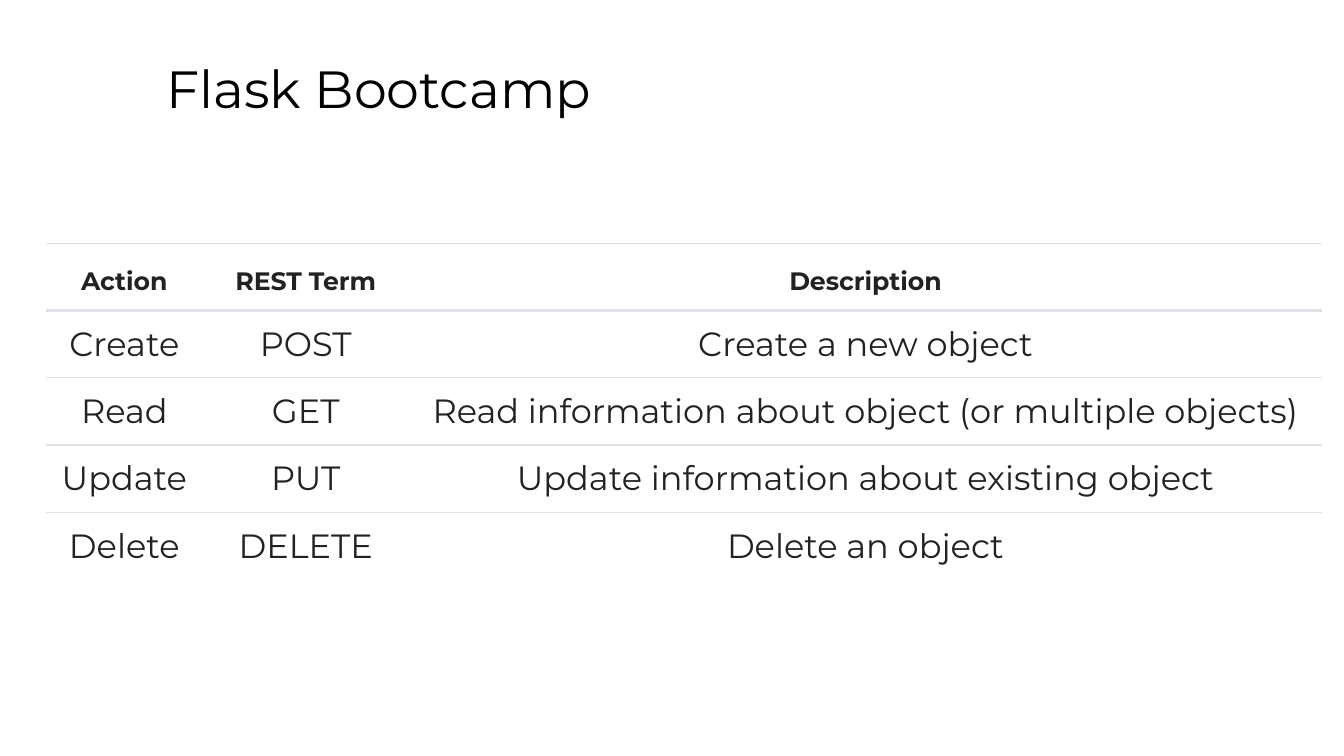
import pptx
import pptx.dml.color
import pptx.enum.text
import pptx.oxml
import pptx.oxml.ns
import pptx.util
from pptx.util import Inches

NAMESPACE = pptx.oxml.ns.nsdecls("a")
ANCHOR = pptx.enum.text.MSO_ANCHOR
ALIGN = pptx.enum.text.PP_ALIGN


def color(value):
    return pptx.dml.color.RGBColor.from_string(value)


class SlideBuilder:
    font = "Montserrat"
    title_color = "000000"
    text_color = "222222"
    rule_color = "DEE2E6"
    background = "FFFFFF"
    inset = Inches(0.1)

    def __init__(self, slide):
        self.slide = slide
        fill = slide.background.fill
        fill.solid()
        fill.fore_color.rgb = color(self.background)

    def format_text(self, paragraph, size, text_color, bold=False):
        for run in paragraph.runs:
            run.font.name = self.font
            run.font.size = pptx.util.Pt(size)
            run.font.bold = bold
            run.font.color.rgb = color(text_color)

    def title(self, text, left, top, width, height):
        shape = self.slide.shapes.add_textbox(
            Inches(left), Inches(top), Inches(width), Inches(height))
        frame = shape.text_frame
        frame.word_wrap = True
        frame.vertical_anchor = ANCHOR.TOP
        frame.margin_left = frame.margin_right = self.inset
        frame.margin_top = frame.margin_bottom = self.inset
        frame.text = text
        self.format_text(frame.paragraphs[0], 28, self.title_color)

    def borders(self, cell, top, bottom):
        """Draw the horizontal rules of a cell; a width of 0 means no line."""
        properties = cell._tc.get_or_add_tcPr()
        widths = {"lnL": 0, "lnR": 0, "lnT": top, "lnB": bottom}
        for index, (side, width) in enumerate(widths.items()):
            paint = (f'<a:solidFill><a:srgbClr val="{self.rule_color}"/></a:solidFill>'
                     if width else "<a:noFill/>")
            line = pptx.oxml.parse_xml(
                f'<a:{side} {NAMESPACE} w="{pptx.util.Pt(width)}">{paint}</a:{side}>')
            properties.insert(index, line)

    def cell(self, cell, text, header):
        cell.margin_left = cell.margin_right = self.inset
        cell.margin_top = cell.margin_bottom = self.inset
        cell.vertical_anchor = ANCHOR.BOTTOM if header else ANCHOR.TOP
        cell.fill.solid()
        cell.fill.fore_color.rgb = color(self.background)
        cell.text_frame.text = text
        paragraph = cell.text_frame.paragraphs[0]
        paragraph.alignment = ALIGN.CENTER
        if header:
            paragraph.line_spacing = 1.15
        self.format_text(paragraph, 13.5 if header else 18, self.text_color, header)

    def table(self, rows, left, top, frame_size, column_widths, row_height):
        shape = self.slide.shapes.add_table(
            len(rows), len(column_widths), Inches(left), Inches(top),
            Inches(frame_size), Inches(frame_size))
        table = shape.table
        table.first_row = table.horz_banding = False
        for column, width in zip(table.columns, column_widths):
            column.width = Inches(width)
        # One rule above each row, heavier under the header, none at the end
        rules = [0.75, 1.5] + [0.75] * (len(rows) - 2) + [0]
        for row_index, row in enumerate(rows):
            table.rows[row_index].height = Inches(row_height)
            for column_index, text in enumerate(row):
                cell = table.cell(row_index, column_index)
                self.cell(cell, text, header=row_index == 0)
                self.borders(cell, rules[row_index], rules[row_index + 1])
        # Column and row changes resize the frame, so its size is set last
        shape.width = shape.height = Inches(frame_size)


# A 16:9 slide, ten inches wide
presentation = pptx.Presentation()
presentation.slide_width = Inches(10)
presentation.slide_height = Inches(10) * 9 // 16
builder = SlideBuilder(presentation.slides.add_slide(presentation.slide_layouts[6]))

# Title
builder.title("Flask Bootcamp", 1.14, 0.32, 8.52, 0.63)

# Actions and their REST terms
actions = [
    ("Action", "REST Term", "Description"),
    ("Create", "POST", "Create a new object"),
    ("Read", "GET", "Read information about object (or multiple objects)"),
    ("Update", "PUT", "Update information about existing object"),
    ("Delete", "DELETE", "Delete an object"),
]
builder.table(actions, 0.34, 1.81, frame_size=3.28,
              column_widths=(1.17, 1.53, 6.8), row_height=0.5)

presentation.save("out.pptx")
